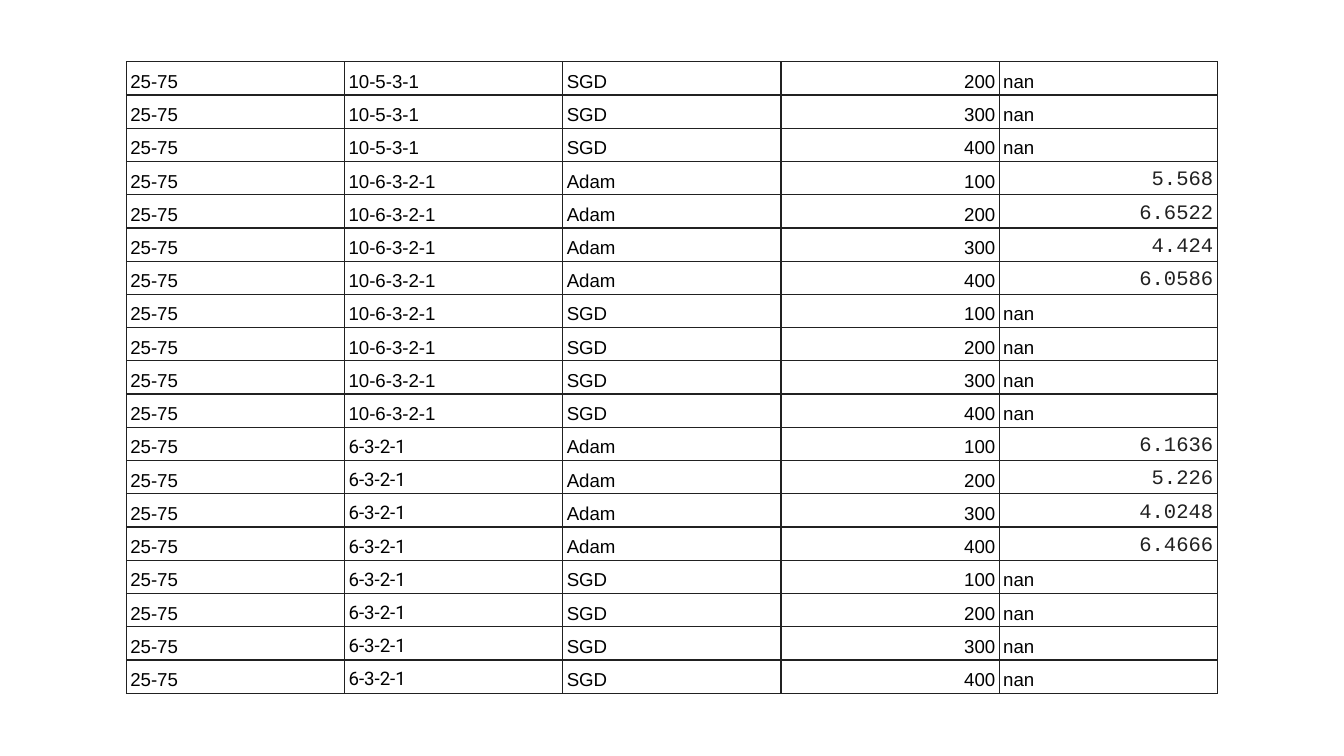
from lxml import etree
from pptx import Presentation
from pptx import util as u
from pptx.dml.color import RGBColor
from pptx.enum import text
from pptx.oxml import ns

SPLIT = "25-75"
# network, optimizer, {epochs: error}
RUNS = [
    ("10-5-3-1", "SGD", {200: "nan", 300: "nan", 400: "nan"}),
    ("10-6-3-2-1", "Adam", {100: "5.568", 200: "6.6522", 300: "4.424", 400: "6.0586"}),
    ("10-6-3-2-1", "SGD", dict.fromkeys((100, 200, 300, 400), "nan")),
    ("6-3-2-1", "Adam", {100: "6.1636", 200: "5.226", 300: "4.0248", 400: "6.4666"}),
    ("6-3-2-1", "SGD", dict.fromkeys((100, 200, 300, 400), "nan")),
]

PLAIN = {"name": "Arial", "size": u.Pt(10), "color": "000000"}
ROBOTO = {**PLAIN, "name": "Roboto"}
SCORE = {"name": "Courier New", "size": u.Pt(11), "color": "212121"}
CELL = {
    "margin_left": u.Inches(0.03),
    "margin_right": u.Inches(0.03),
    "margin_top": u.Inches(0.02),
    "margin_bottom": u.Inches(0.02),
    "vertical_anchor": text.MSO_ANCHOR.BOTTOM,
}


def rgb(color):
    return RGBColor.from_string(color)


class Deck:
    border_color = "212121"
    border_width = u.Pt(0.75)
    line_spacing = 1.15

    def __init__(self, width, height):
        self.prs = Presentation()
        self.prs.slide_width = u.Inches(width)
        self.prs.slide_height = u.Inches(height)
        self.slide = self.prs.slides.add_slide(self.prs.slide_layouts[6])

    def table(self, rows, left, top, width, height):
        """Draw rows of (wording, right-aligned, font style) entries."""
        box = [u.Inches(length) for length in (left, top, width, height)]
        table = self.slide.shapes.add_table(len(rows), len(rows[0]), *box).table
        table.first_row = table.horz_banding = False
        for row, entries in zip(table.rows, rows):
            row.height = u.Inches(height / len(rows))
            for cell, entry in zip(row.cells, entries):
                self.cell(cell, *entry)

    def cell(self, cell, wording, right, style):
        for name, value in CELL.items():
            setattr(cell, name, value)
        self.borders(cell)
        cell.fill.background()
        paragraph = cell.text_frame.paragraphs[0]
        paragraph.line_spacing = self.line_spacing
        paragraph.alignment = text.PP_ALIGN.RIGHT if right else text.PP_ALIGN.LEFT
        run = paragraph.add_run()
        run.text = wording
        for name, value in style.items():
            if name == "color":
                run.font.color.rgb = rgb(value)
            else:
                setattr(run.font, name, value)

    def borders(self, cell):
        properties = cell._tc.get_or_add_tcPr()
        for side in ("lnL", "lnR", "lnT", "lnB"):
            line = etree.SubElement(properties, ns.qn(f"a:{side}"), w=str(self.border_width))
            fill = etree.SubElement(line, ns.qn("a:solidFill"))
            etree.SubElement(fill, ns.qn("a:srgbClr"), val=self.border_color)


def result_rows():
    rows = []
    for network, optimizer, errors in RUNS:
        network_style = ROBOTO if network == "6-3-2-1" else PLAIN
        for epochs, error in errors.items():
            scored = error != "nan"
            rows.append([
                (SPLIT, False, PLAIN),
                (network, False, network_style),
                (optimizer, False, PLAIN),
                (str(epochs), True, PLAIN),
                (error, scored, SCORE if scored else PLAIN),
            ])
    return rows


def main():
    deck = Deck(width=10, height=10 * 9 / 16)
    deck.table(result_rows(), left=0.94, top=0.46, width=8.12, height=4.7)
    deck.prs.save("out.pptx")


if __name__ == "__main__":
    main()
